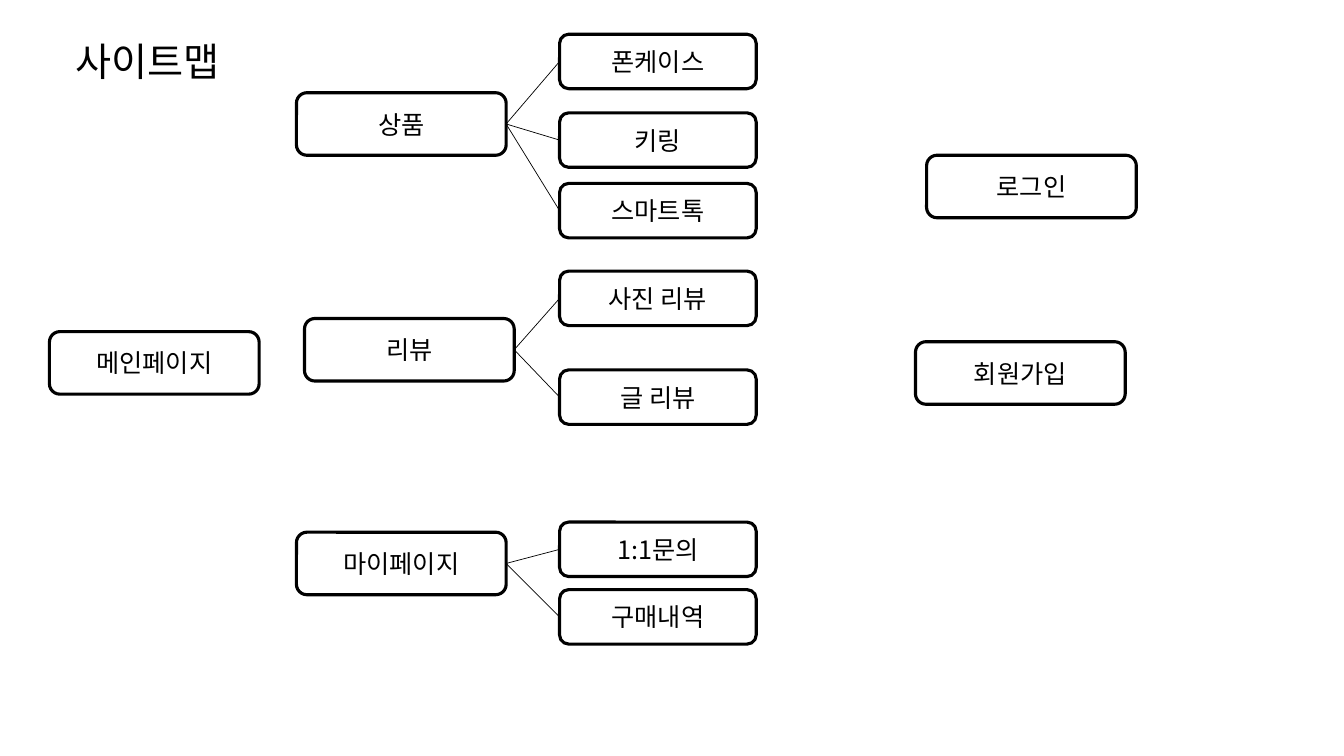
from lxml.etree import SubElement
from pptx import Presentation
from pptx.dml.color import RGBColor
from pptx.enum.shapes import MSO_CONNECTOR, MSO_SHAPE
from pptx.enum.text import MSO_ANCHOR, MSO_AUTO_SIZE, PP_ALIGN
from pptx.oxml.ns import qn
from pptx.util import Inches, Pt

BLACK = RGBColor(0, 0, 0)
WHITE = RGBColor(255, 255, 255)
FONT = "Noto Sans CJK KR"
CELL = Inches(0.1)
PAGE = (20.8, 6.2)
LEAF = (19.5, 5.4)
LEFT, RIGHT = 1, 3
LEAF_COL = 55.5

SINGLES = [
    ("메인페이지", 4.9, 32.9),
    ("로그인", 91.9, 15.4),
    ("회원가입", 90.8, 33.9),
]
GROUPS = [
    ("상품", 29.4, 9.2, [("폰케이스", 3.4), ("키링", 11.2), ("스마트톡", 18.2)]),
    ("리뷰", 30.2, 31.6, [("사진 리뷰", 26.9), ("글 리뷰", 36.7)]),
    ("마이페이지", 29.4, 52.8, [("1:1문의", 51.8), ("구매내역", 58.5)]),
]


def grid(*cells):
    return [round(cell * CELL) for cell in cells]


def write(frame, text, size):
    frame.text = text
    font = frame.paragraphs[0].runs[0].font
    font.name = FONT
    font.size = Pt(size)
    font.color.rgb = BLACK
    SubElement(font._element, qn("a:ea"), typeface=FONT)


def add_title(slide, text):
    frame = slide.shapes.add_textbox(*grid(6.5, 3.2, 17.7, 5.7)).text_frame
    frame.word_wrap = False
    frame.auto_size = MSO_AUTO_SIZE.SHAPE_TO_FIT_TEXT
    write(frame, text, 28)


def add_box(slide, text, col, row, size):
    box = slide.shapes.add_shape(
        MSO_SHAPE.ROUNDED_RECTANGLE, *grid(col, row, *size))
    box.shadow.inherit = False
    box.fill.solid()
    box.fill.fore_color.rgb = WHITE
    box.line.color.rgb = BLACK
    box.line.width = Pt(2.25)
    frame = box.text_frame
    frame.vertical_anchor = MSO_ANCHOR.MIDDLE
    write(frame, text, 18)
    frame.paragraphs[0].alignment = PP_ALIGN.CENTER
    return box


def add_link(slide, page, leaf):
    link = slide.shapes.add_connector(MSO_CONNECTOR.STRAIGHT, 0, 0, 0, 0)
    link.begin_connect(page, RIGHT)
    link.end_connect(leaf, LEFT)
    link.line.color.rgb = BLACK
    link.line.width = Pt(0.5)
    SubElement(link._element.spPr, qn("a:effectLst"))


def add_group(slide, text, col, row, leaves):
    page = add_box(slide, text, col, row, PAGE)
    for name, top in leaves:
        leaf = add_box(slide, name, LEAF_COL, top, LEAF)
        add_link(slide, page, leaf)


def main():
    deck = Presentation()
    deck.slide_width = Inches(13.33)
    deck.slide_height = Inches(7.5)
    slide = deck.slides.add_slide(deck.slide_layouts[6])
    add_title(slide, "사이트맵")
    for text, col, row in SINGLES:
        add_box(slide, text, col, row, PAGE)
    for group in GROUPS:
        add_group(slide, *group)
    deck.save("out.pptx")


main()
